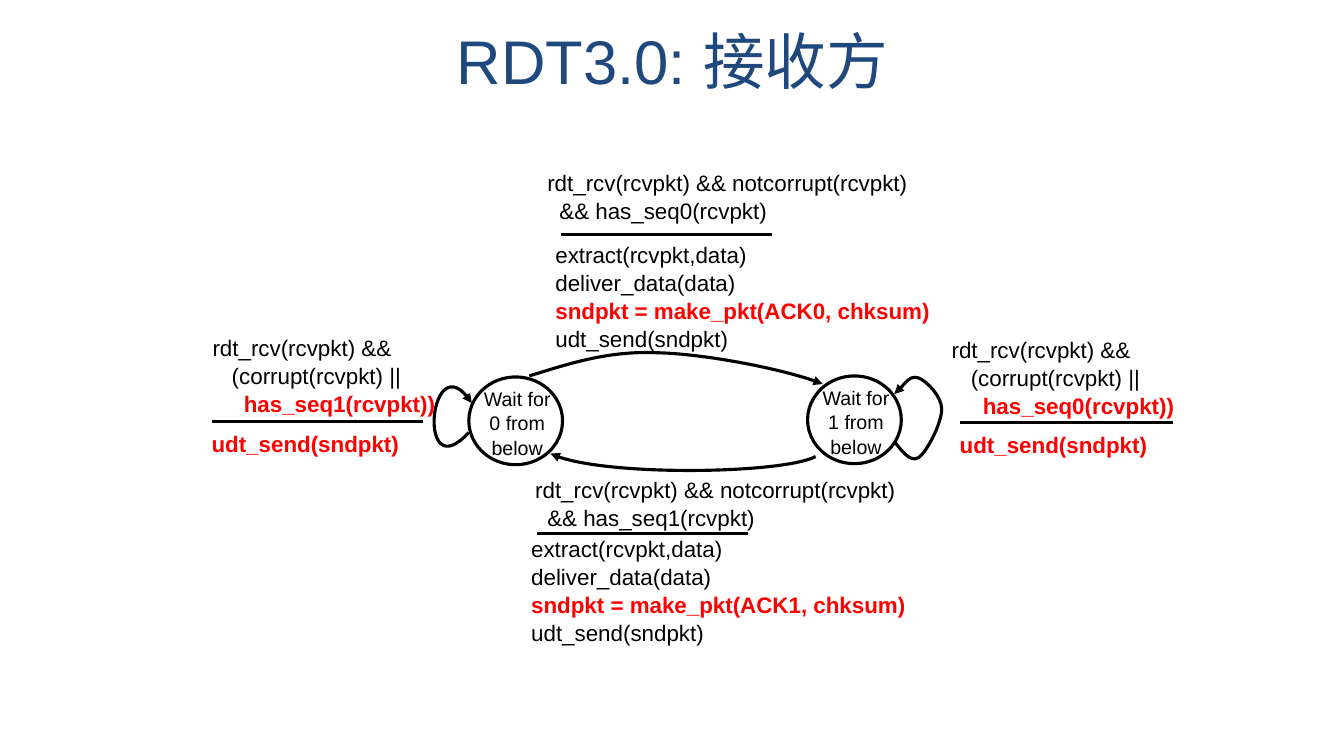
from dataclasses import dataclass

from lxml import etree
from pptx import Presentation
from pptx.dml.color import RGBColor
from pptx.enum.shapes import MSO_CONNECTOR, MSO_SHAPE
from pptx.enum.text import MSO_ANCHOR, PP_ALIGN
from pptx.oxml.ns import qn
from pptx.util import Pt

EMU_PER_PX = 9144
FONT = "Arial"
BLACK, WHITE, RED, NAVY = "000000", "FFFFFF", "FF0000", "1F497D"
LINE_WIDTH = Pt(2.25)
STRAIGHT = MSO_CONNECTOR.STRAIGHT
OVAL = MSO_SHAPE.OVAL
LEFT, CENTER = PP_ALIGN.LEFT, PP_ALIGN.CENTER
TOP, MIDDLE = MSO_ANCHOR.TOP, MSO_ANCHOR.MIDDLE
STATE_WIDTH, STATE_HEIGHT = 93, 87


@dataclass
class TextLine:
    text: str
    indent: int = 0
    color: str = BLACK
    bold: bool = False


@dataclass
class Caption:
    left: int
    top: int
    width: int
    height: int
    lines: list[TextLine]
    size: int = 16
    align: PP_ALIGN = LEFT
    anchor: MSO_ANCHOR = TOP
    spacing: float = 1.04


@dataclass
class State:
    left: int
    top: int
    number: int


@dataclass
class Rule:
    left: int
    top: int
    width: int


@dataclass
class Arrow:
    points: list[tuple[int, int]]
    arrowhead: str = "tailEnd"


def px(length: int) -> int:
    return length * EMU_PER_PX


def rgb(color: str) -> RGBColor:
    return RGBColor.from_string(color)


def emphasis(text: str, indent: int = 0) -> TextLine:
    return TextLine(text, indent, RED, True)


def accept_event(left: int, top: int, sequence: int) -> Caption:
    return Caption(left, top, 431, 62, [
        TextLine("rdt_rcv(rcvpkt) && notcorrupt(rcvpkt)"),
        TextLine(f"&& has_seq{sequence}(rcvpkt)", 12),
    ])


def accept_actions(left: int, top: int, sequence: int) -> Caption:
    return Caption(left, top, 457, 76, [
        TextLine("extract(rcvpkt,data)"),
        TextLine("deliver_data(data)"),
        emphasis(f"sndpkt = make_pkt(ACK{sequence}, chksum)"),
        TextLine("udt_send(sndpkt)"),
    ])


def reject_event(left: int, top: int, width: int, sequence: int) -> Caption:
    return Caption(left, top, width, 70, [
        TextLine("rdt_rcv(rcvpkt) &&"),
        TextLine("(corrupt(rcvpkt) ||", 19),
        emphasis(f"has_seq{sequence}(rcvpkt))", 31),
    ])


def reject_action(left: int, top: int) -> Caption:
    return Caption(left, top, 223, 45, [emphasis("udt_send(sndpkt)")])


TITLE = Caption(67, 28, 1200, 63, [TextLine("RDT3.0: 接收方", color=NAVY)],
                44, CENTER, MIDDLE, 1.0)
STATES = [State(465, 374, 0), State(801, 373, 1)]
ARROWS = [
    Arrow([(546, 450), (592, 473), (776, 470), (809, 453)], "headEnd"),
    Arrow([(465, 429), (414, 485), (426, 336), (468, 400)]),
    Arrow([(525, 373), (564, 361), (602, 348), (651, 350),
           (699, 351), (785, 368), (816, 381)]),
    Arrow([(887, 438), (895, 448), (903, 459), (911, 454),
           (919, 449), (934, 420), (934, 406),
           (934, 393), (919, 378), (911, 375),
           (903, 372), (891, 388), (887, 391)]),
]
RULES = [Rule(533, 529, 209), Rule(210, 418, 210),
         Rule(556, 233, 210), Rule(952, 419, 211)]
CAPTIONS = [
    TITLE,
    accept_event(533, 162, 0), accept_actions(541, 233, 0),
    accept_event(521, 466, 1), accept_actions(517, 525, 1),
    reject_event(201, 326, 258, 1), reject_action(200, 421),
    reject_event(934, 328, 276, 0), reject_action(942, 422),
]


def style_line(line) -> None:
    line.color.rgb = rgb(BLACK)
    line.width = LINE_WIDTH


def draw_caption(slide, caption: Caption) -> None:
    shape = slide.shapes.add_textbox(px(caption.left), px(caption.top),
                                     px(caption.width), px(caption.height))
    frame = shape.text_frame
    frame.word_wrap = True
    frame.vertical_anchor = caption.anchor
    for index, line in enumerate(caption.lines):
        paragraph = frame.add_paragraph() if index else frame.paragraphs[0]
        paragraph.text = line.text
        paragraph.alignment = caption.align
        paragraph.line_spacing = caption.spacing
        font = paragraph.font
        font.name = FONT
        font.size = Pt(caption.size)
        font.bold = line.bold
        font.color.rgb = rgb(line.color)
        if line.indent:
            paragraph._p.get_or_add_pPr().set("marL", str(px(line.indent)))


def draw_state(slide, state: State) -> None:
    shape = slide.shapes.add_shape(OVAL, px(state.left), px(state.top),
                                   px(STATE_WIDTH), px(STATE_HEIGHT))
    shape.shadow.inherit = False
    shape.fill.solid()
    shape.fill.fore_color.rgb = rgb(WHITE)
    style_line(shape.line)
    label = [TextLine("Wait for"), TextLine(f"{state.number} from below")]
    draw_caption(slide, Caption(state.left + 4, state.top + 4, 88, 67,
                                label, 14, CENTER))


def draw_arrow(slide, arrow: Arrow) -> None:
    start, *controls = arrow.points
    builder = slide.shapes.build_freeform(*start, scale=float(EMU_PER_PX))
    builder.add_line_segments(controls, close=False)
    shape = builder.convert_to_shape()
    shape.shadow.inherit = False
    shape.fill.background()
    style_line(shape.line)
    outline = shape._element.find(".//" + qn("a:path"))
    segments = outline.findall(qn("a:lnTo"))
    for first in range(0, len(segments), 3):
        curve = etree.SubElement(outline, qn("a:cubicBezTo"))
        for segment in segments[first:first + 3]:
            curve.append(segment[0])
            outline.remove(segment)
    etree.SubElement(shape.line._get_or_add_ln(), qn("a:" + arrow.arrowhead),
                     type="triangle")


def draw_rule(slide, rule: Rule) -> None:
    connector = slide.shapes.add_connector(
        STRAIGHT, px(rule.left), px(rule.top),
        px(rule.left + rule.width), px(rule.top))
    style_line(connector.line)
    etree.SubElement(connector._element.spPr, qn("a:effectLst"))


def main() -> None:
    presentation = Presentation()
    presentation.slide_width = px(1333)
    presentation.slide_height = px(750)
    slide = presentation.slides.add_slide(presentation.slide_layouts[6])
    for state in STATES:
        draw_state(slide, state)
    for arrow in ARROWS:
        draw_arrow(slide, arrow)
    for rule in RULES:
        draw_rule(slide, rule)
    for caption in CAPTIONS:
        draw_caption(slide, caption)
    presentation.save("out.pptx")


if __name__ == "__main__":
    main()
